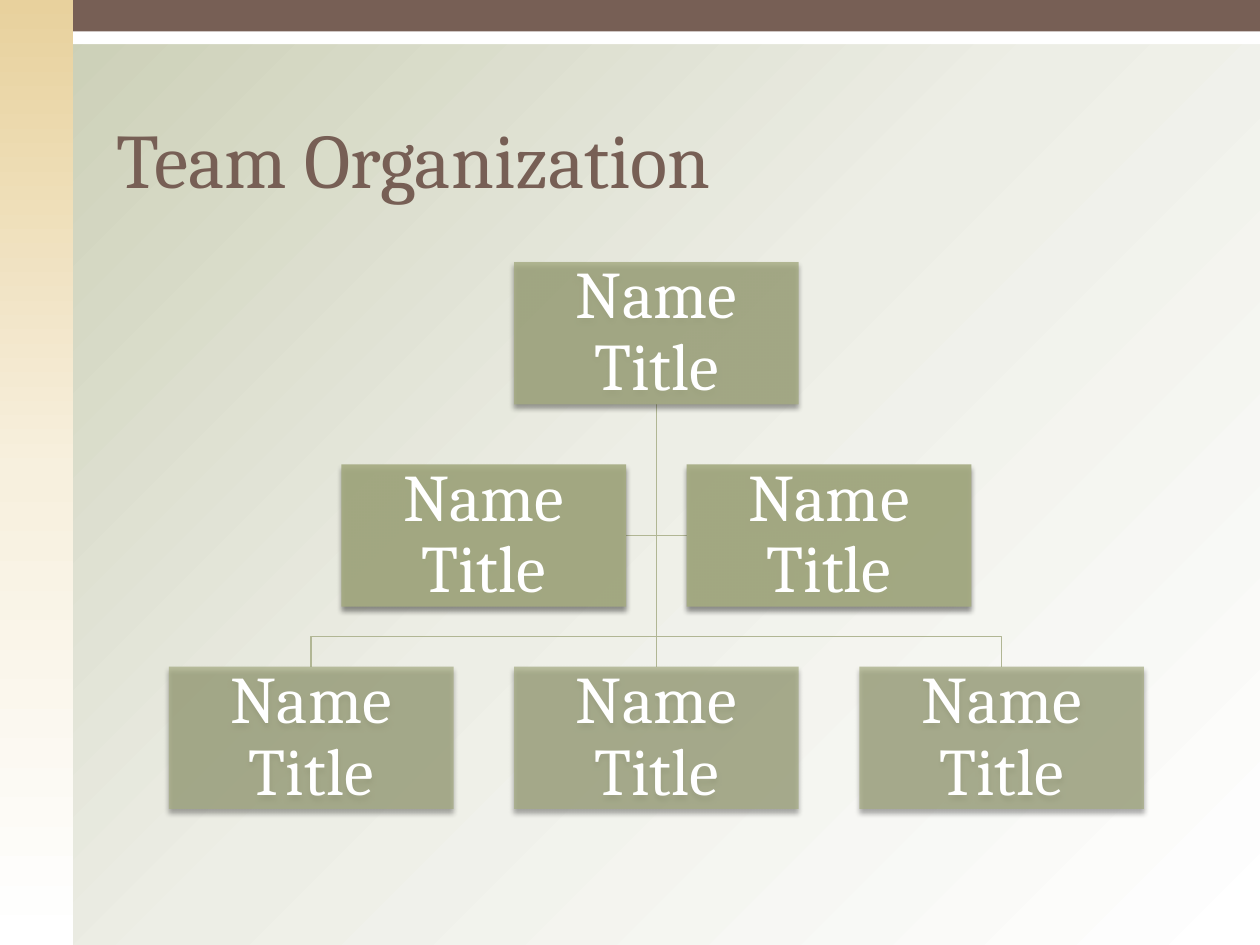
import pptx
import pptx.util
import pptx.dml.color
import pptx.enum.shapes
import pptx.enum.text
import pptx.oxml.ns
import lxml.etree

heading = "Team Organization"
person = ("Name", "Title")
levels = [
    {"people": [person], "opacity": 80},
    {"people": [person] * 2, "opacity": 90},
    {"people": [person] * 3, "opacity": 70},
]

theme = {
    "font": "Cambria",
    "heading_size": 44,
    "person_size": 38,
    "brown": "775F55",
    "white": "FFFFFF",
    "box": "A5AB81",
    "branch": "B1B694",
    "branch_width": 0.79,
    "backdrop": ["C9CDB3", "EDEEE6", "FFFFFF"],
    "sidebar": ["E8D19D", "F7F0DE", "FFFFFF"],
    "shadow": {"color": "000000", "opacity": 45, "blur": 3, "distance": 2.4, "angle": 90},
}

slide_width, slide_height = 10, 7.5
sidebar_width, band_height, strip_height = 0.58, 0.25, 0.35
center, chart_top = 5.21, 2.08
box_width, box_height = 2.26, 1.13
column_step, row_step = 2.74, 1.605
bus = chart_top + 2 * row_step - (column_step - box_width) / 2

Inches, Pt = pptx.util.Inches, pptx.util.Pt
RECTANGLE = pptx.enum.shapes.MSO_SHAPE.RECTANGLE
STRAIGHT = pptx.enum.shapes.MSO_CONNECTOR.STRAIGHT
ALIGN = pptx.enum.text.PP_ALIGN
ANCHOR = pptx.enum.text.MSO_ANCHOR


def rgb(color):
    return pptx.dml.color.RGBColor.from_string(color)


def inches(*lengths):
    return [Inches(length) for length in lengths]


def apply(target, formats):
    for attribute, value in formats.items():
        setattr(target, attribute, value)


def add_node(parent, tag, **attributes):
    values = {key: str(value) for key, value in attributes.items()}
    return lxml.etree.SubElement(parent, pptx.oxml.ns.qn(tag), values)


def paint_gradient(fill, element, colors, angle):
    fill.gradient()
    fill.gradient_angle = 360 - angle
    stops = element.xpath(".//a:gsLst")[0]
    for stop in list(stops):
        stops.remove(stop)
    for index, color in enumerate(colors):
        stop = add_node(stops, "a:gs", pos=100000 * index // (len(colors) - 1))
        add_node(stop, "a:srgbClr", val=color)


def add_rectangle(slide, left, top, width, height, color=None):
    rectangle = slide.shapes.add_shape(RECTANGLE, *inches(left, top, width, height))
    rectangle.shadow.inherit = False
    rectangle.line.fill.background()
    if color:
        rectangle.fill.solid()
        rectangle.fill.fore_color.rgb = rgb(color)
    return rectangle


def write(frame, lines, size, color, align, frame_formats):
    apply(frame, {"word_wrap": True, **frame_formats})
    paragraph = frame.paragraphs[0]
    paragraph.alignment = align
    for index, line in enumerate(lines):
        if index:
            paragraph.add_line_break()
        run = paragraph.add_run()
        run.text = line
        apply(run.font, {"name": theme["font"], "size": Pt(size)})
        run.font.color.rgb = rgb(color)
    return paragraph


def add_branch(slide, points):
    if len(points) == 2:
        (start, end) = points
        branch = slide.shapes.add_connector(STRAIGHT, *inches(*start, *end))
        add_node(branch._element.spPr, "a:effectLst")
    else:
        outline = slide.shapes.build_freeform(*inches(*points[0]), scale=1.0)
        outline.add_line_segments([inches(*point) for point in points[1:]], close=False)
        branch = outline.convert_to_shape()
        branch.fill.background()
        branch.shadow.inherit = False
    branch.line.color.rgb = rgb(theme["branch"])
    branch.line.width = Pt(theme["branch_width"])


def add_person(slide, middle, top, lines, opacity):
    box = add_rectangle(slide, middle - box_width / 2, top, box_width, box_height, theme["box"])
    properties = box._element.spPr
    add_node(properties.xpath("./a:solidFill/a:srgbClr")[0], "a:alpha", val=opacity * 1000)
    shade = theme["shadow"]
    shadow = add_node(properties.xpath("./a:effectLst")[0], "a:outerShdw",
                      blurRad=Pt(shade["blur"]), dist=Pt(shade["distance"]),
                      dir=shade["angle"] * 60000, rotWithShape=0)
    tint = add_node(shadow, "a:srgbClr", val=shade["color"])
    add_node(tint, "a:alpha", val=shade["opacity"] * 1000)
    margins = {f"margin_{side}": Inches(0.03) for side in ("left", "top", "right", "bottom")}
    paragraph = write(box.text_frame, lines, theme["person_size"], theme["white"],
                      ALIGN.CENTER, {"vertical_anchor": ANCHOR.MIDDLE, **margins})
    paragraph.line_spacing = 0.9


def middles(count):
    return [center + (index - (count - 1) / 2) * column_step for index in range(count)]


def main():
    deck = pptx.Presentation()
    apply(deck, {"slide_width": Inches(slide_width), "slide_height": Inches(slide_height)})
    slide = deck.slides.add_slide(deck.slide_layouts[6])
    paint_gradient(slide.background.fill, slide._element, theme["backdrop"], 45)

    add_rectangle(slide, 0, 0, slide_width, strip_height, theme["white"])
    sidebar = add_rectangle(slide, 0, 0, sidebar_width, slide_height)
    paint_gradient(sidebar.fill, sidebar._element, theme["sidebar"], 90)
    add_rectangle(slide, sidebar_width, 0, slide_width - sidebar_width, band_height, theme["brown"])

    root = (center, chart_top + box_height)
    assistant_level = chart_top + row_step + box_height / 2
    for middle in middles(len(levels[1]["people"])):
        inner_edge = middle + box_width / 2 * (1 if middle < center else -1)
        add_branch(slide, [root, (center, assistant_level), (inner_edge, assistant_level)])
    for middle in middles(len(levels[2]["people"])):
        elbows = [] if middle == center else [(center, bus), (middle, bus)]
        add_branch(slide, [root, *elbows, (middle, chart_top + 2 * row_step)])

    for row, level in enumerate(levels):
        people = level["people"]
        for middle, lines in zip(middles(len(people)), people):
            add_person(slide, middle, chart_top + row * row_step, lines, level["opacity"])

    title = slide.shapes.add_textbox(*inches(0.83, 0.42, 8.75, 1.25))
    write(title.text_frame, [heading], theme["heading_size"], theme["brown"],
          ALIGN.LEFT, {"vertical_anchor": ANCHOR.BOTTOM})
    deck.save("out.pptx")


if __name__ == "__main__":
    main()
